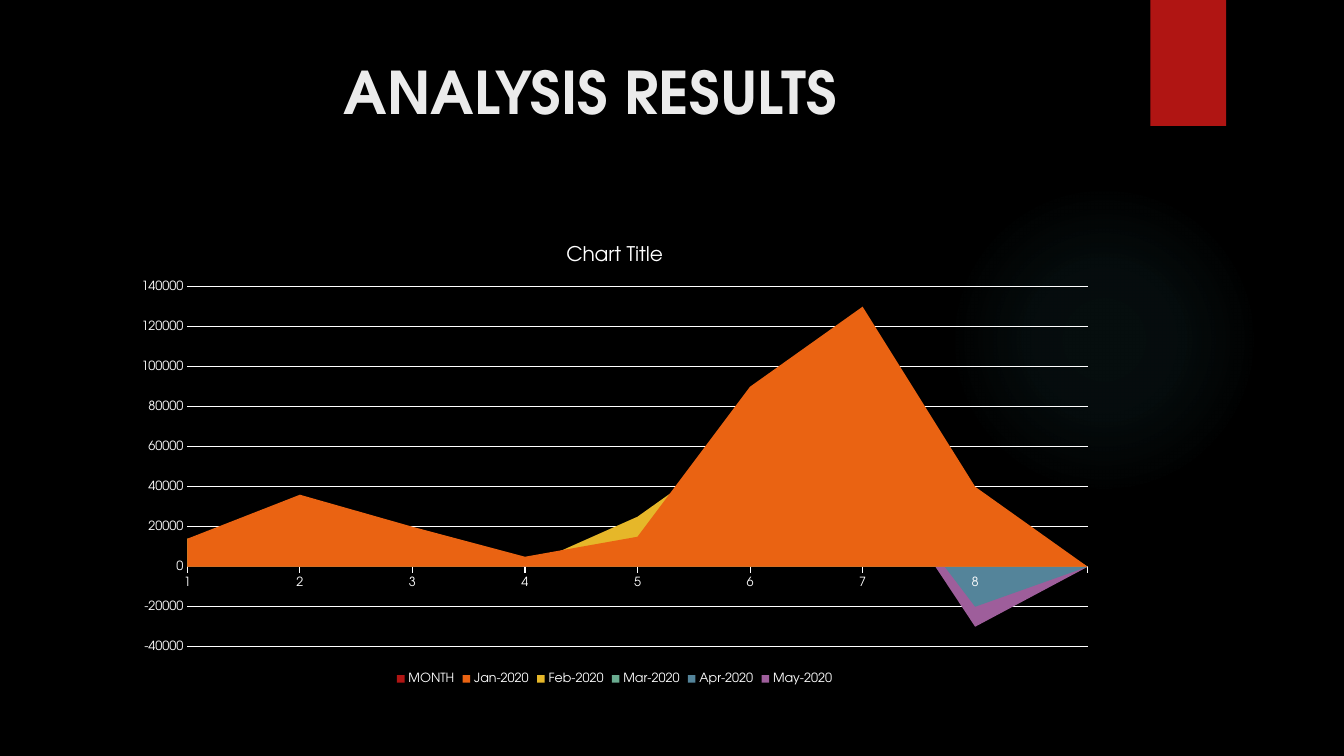
from lxml.etree import SubElement
from pptx import Presentation
from pptx.chart.data import CategoryChartData
from pptx.dml.color import RGBColor
from pptx.enum.chart import XL_CHART_TYPE, XL_LEGEND_POSITION, XL_TICK_MARK
from pptx.enum.shapes import MSO_SHAPE
from pptx.enum.text import MSO_ANCHOR, PP_ALIGN
from pptx.oxml import parse_xml
from pptx.oxml.ns import nsdecls, qn
from pptx.util import Pt

FONT = "TeX Gyre Adventor"
COLORS = {
    "background": "000000", "glow": "50B9C1", "ribbon": "B01513",
    "title": "EBEBEB", "chart": "FFFFFF",
}
MONTHS = ["1", "2", "3", "4", "5", "6", "7", "8", ""]
SERIES = {
    "MONTH": ("B01513", [0, 0, 0, 0, 0, 0, 0, 0, None]),
    "Jan-2020": ("EA6312", [14000, 36000, 20000, 5000, 15000, 90000, 130000, 40000, None]),
    "Feb-2020": ("E6B729", [14000, 15000, 11000, 0, 25000, 65000, 100000, 35000, None]),
    "Mar-2020": ("6AAC90", [14000, 11000, 8000, 0, 12000, 45000, 70000, 25000, None]),
    "Apr-2020": ("54849A", [0, 10000, 7000, 0, 17000, 34000, 54000, -20000, None]),
    "May-2020": ("9E5E9B", [0, 8000, 5000, 0, 12000, 25000, 55000, -30000, None]),
}
GLOW_STOPS = [(0, 7), (36, 6), (69, 0)]


def set_all(obj, values):
    """Set each named attribute on an object."""
    for name, value in values.items():
        setattr(obj, name, value)


def paint(fill, color):
    """Make a fill solid in a hex colour."""
    fill.solid()
    fill.fore_color.rgb = RGBColor.from_string(color)


def style_font(font, size, color, bold=False):
    """Apply the slide typeface, size, colour and weight."""
    set_all(font, {"name": FONT, "size": Pt(size), "bold": bold})
    paint(font.fill, color)


def style_line(line):
    """Give a chart line its colour and width."""
    paint(line.fill, COLORS["chart"])
    line.width = Pt(0.75)


def add_block(s, kind, box, color):
    """Add a plain filled shape without outline or shadow."""
    sp = s.shapes.add_shape(kind, *map(Pt, box))
    sp.shadow.inherit = False
    sp.line.fill.background()
    paint(sp.fill, color)
    return sp


def add_glow(s, box):
    """Add an ellipse with a faint radial gradient."""
    sp = add_block(s, MSO_SHAPE.OVAL, box, COLORS["glow"])
    stops = "".join(
        f'<a:gs pos="{pos * 1000}"><a:srgbClr val="{COLORS["glow"]}">'
        f'<a:alpha val="{alpha * 1000}"/></a:srgbClr></a:gs>'
        for pos, alpha in GLOW_STOPS
    )
    gradient = parse_xml(
        f'<a:gradFill {nsdecls("a")}><a:gsLst>{stops}</a:gsLst><a:path path="circle">'
        '<a:fillToRect l="50000" t="50000" r="50000" b="50000"/></a:path></a:gradFill>'
    )
    props = sp.element.spPr
    props.replace(props.find(qn("a:solidFill")), gradient)


def add_title(s, text, box):
    """Add the centred slide heading."""
    tf = s.shapes.add_textbox(*map(Pt, box)).text_frame
    set_all(tf, {"word_wrap": True, "vertical_anchor": MSO_ANCHOR.TOP})
    p = tf.paragraphs[0]
    p.alignment = PP_ALIGN.CENTER
    r = p.add_run()
    r.text = text
    style_font(r.font, 42, COLORS["title"], True)


def style_axes(chart):
    """Format both axes and the horizontal grid."""
    cat, val = chart.category_axis, chart.value_axis
    for axis, tick in ((cat, XL_TICK_MARK.OUTSIDE), (val, XL_TICK_MARK.NONE)):
        set_all(axis, {"major_tick_mark": tick, "minor_tick_mark": XL_TICK_MARK.NONE})
        style_font(axis.tick_labels.font, 9, COLORS["chart"])
    cat.has_major_gridlines = False
    style_line(cat.format.line)
    set_all(val, {"minimum_scale": -40000, "maximum_scale": 140000,
                  "major_unit": 20000, "has_major_gridlines": True})
    set_all(val.tick_labels, {"number_format": "General", "number_format_is_linked": False})
    val.format.line.fill.background()
    style_line(val.major_gridlines.format.line)


def add_area_chart(s, title, box):
    """Add the monthly area chart with title and legend."""
    data = CategoryChartData()
    data.categories = MONTHS
    for name, (_, values) in SERIES.items():
        data.add_series(name, values)
    chart = s.shapes.add_chart(XL_CHART_TYPE.AREA, *map(Pt, box), data).chart
    style_font(chart.font, 10, COLORS["chart"])
    set_all(chart, {"has_title": True, "has_legend": True})
    p = chart.chart_title.text_frame.paragraphs[0]
    r = p.add_run()
    r.text = title
    style_font(r.font, 14.4, COLORS["chart"])
    set_all(chart.legend, {"position": XL_LEGEND_POSITION.BOTTOM, "include_in_layout": False})
    style_font(chart.legend.font, 9, COLORS["chart"])
    chart.plots[0].vary_by_categories = False
    for series, (color, _) in zip(chart.plots[0].series, SERIES.values()):
        paint(series.format.fill, color)
    style_axes(chart)
    root = chart.element
    for tag, value in (("c:crossBetween", "midCat"), ("c:dispBlanksAs", "zero")):
        for node in root.iter(qn(tag)):
            node.set("val", value)
    if root.chart.find(qn("c:dispBlanksAs")) is None:
        SubElement(root.chart, qn("c:dispBlanksAs")).set("val", "zero")


def main():
    """Build and save the analysis slide."""
    prs = Presentation()
    set_all(prs, {"slide_width": Pt(960), "slide_height": Pt(540)})
    s = prs.slides.add_slide(prs.slide_layouts[6])
    paint(s.background.fill, COLORS["background"])
    add_glow(s, (677.5, 131.75, 221.75, 221.75))
    add_block(s, MSO_SHAPE.RECTANGLE, (821.75, 0, 54, 90), COLORS["ribbon"])
    add_title(s, "ANALYSIS RESULTS", (51, 36, 741, 110))
    add_area_chart(s, "Chart Title", (87, 161.5, 704, 330.5))
    prs.save("out.pptx")


if __name__ == "__main__":
    main()
